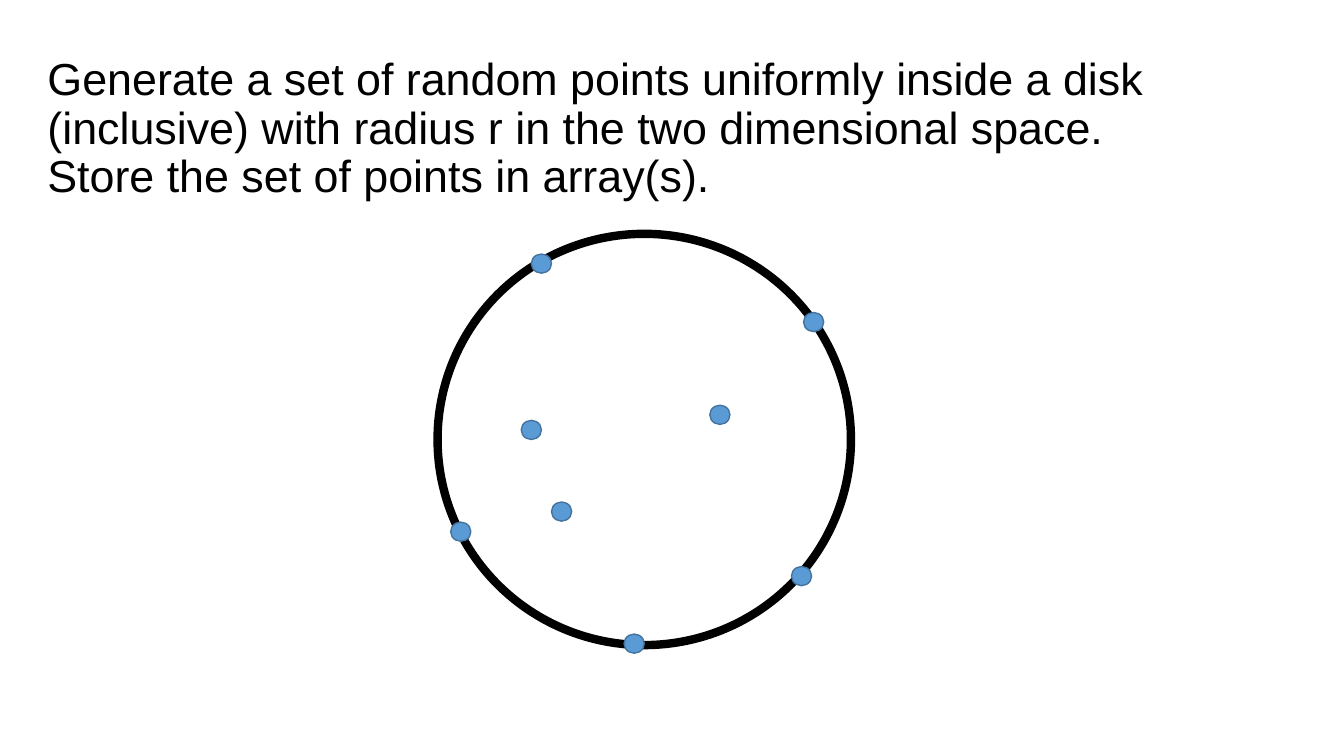
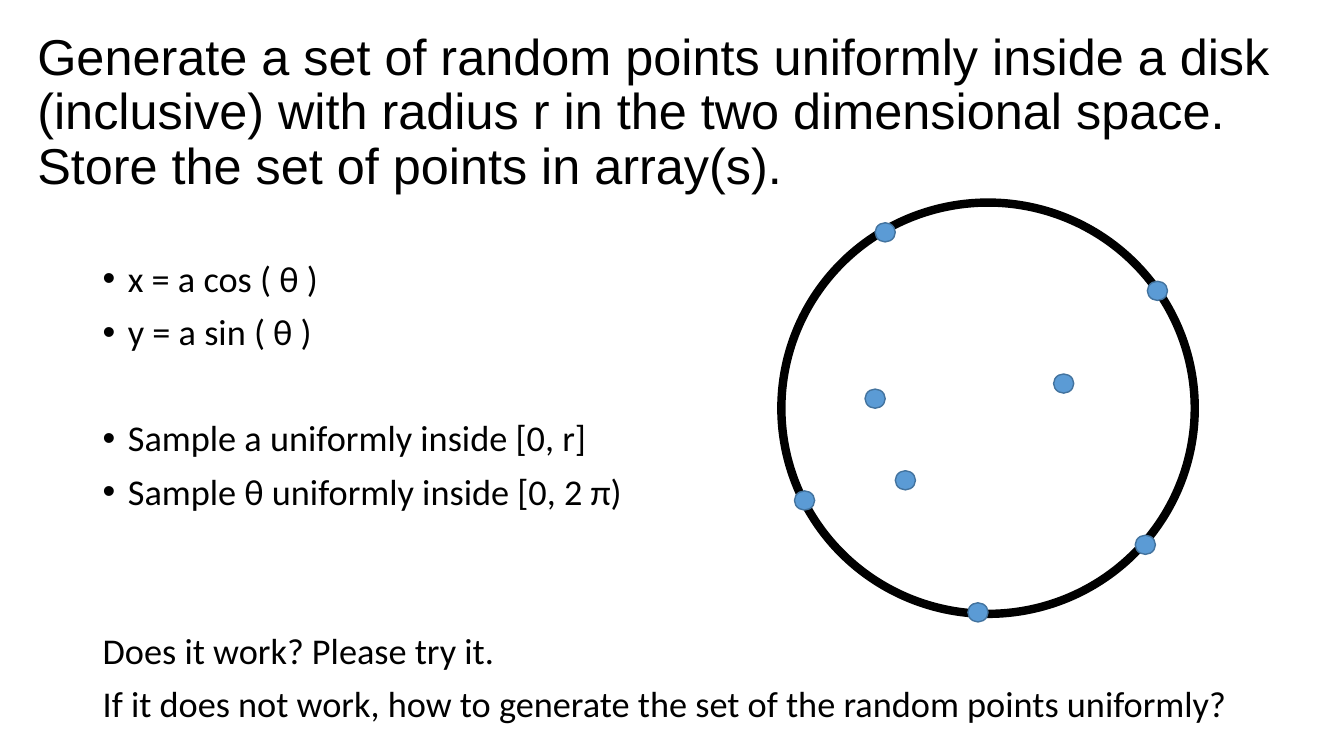
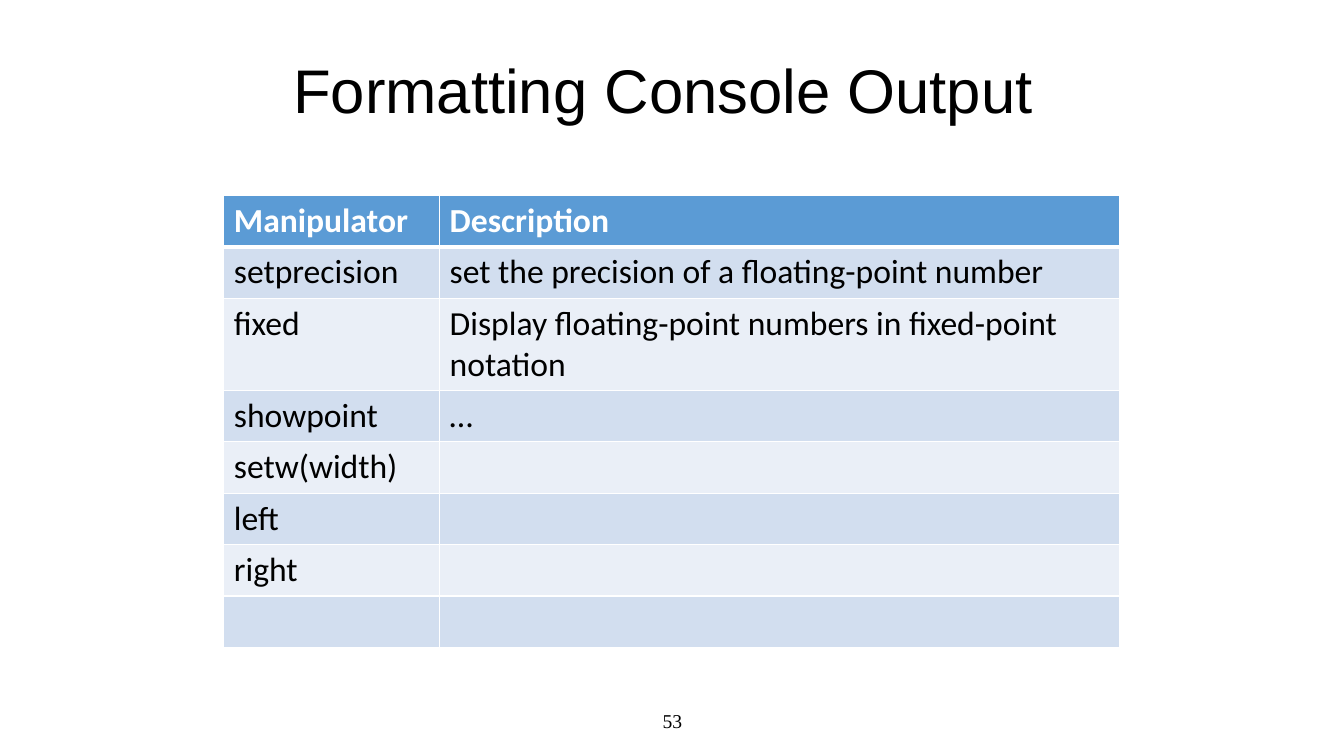
from lxml.etree import SubElement
from pptx import Presentation
from pptx.dml.color import RGBColor
from pptx.enum.shapes import MSO_SHAPE
from pptx.enum.text import MSO_ANCHOR, MSO_AUTO_SIZE, PP_ALIGN
from pptx.oxml.ns import qn
from pptx.util import Pt

OVAL = MSO_SHAPE.OVAL
MIDDLE, TOP = MSO_ANCHOR.MIDDLE, MSO_ANCHOR.TOP
LEFT, CENTER = PP_ALIGN.LEFT, PP_ALIGN.CENTER
FIXED = MSO_AUTO_SIZE.NONE

BLACK = RGBColor(0x00, 0x00, 0x00)
WHITE = RGBColor(0xFF, 0xFF, 0xFF)
BLUE = RGBColor(0x5B, 0x9B, 0xD5)
NAVY = RGBColor(0x43, 0x73, 0x9E)
BANDS = (RGBColor(0xD2, 0xDE, 0xEF), RGBColor(0xEA, 0xEF, 0xF7))

HEAD, BODY, FOOT = "Arial", "Calibri", "Times New Roman"
PX = 9144
WIDTH, HEIGHT = 1333, 750
INDENT = 25

DOTS = ((363, 78), (351, 330), (13, 286), (185, 397),
        (93, 20), (83, 185), (113, 266), (270, 170))
TASK = ("Generate a set of random points uniformly inside a disk "
        "(inclusive) with radius r in the two dimensional space. ")
STORE = "Store the set of points in array(s)."
NOTES = (
    ("x = a cos ( θ )", True, 0),
    ("y = a sin ( θ )", True, 10),
    ("Sample a uniformly inside [0, r]", True, 48),
    ("Sample θ uniformly inside [0, 2 π)", True, 10),
    ("Does it work? Please try it.", False, 86),
    ("If it does not work, how to generate the set of the random points uniformly?", False, 10),
)
ROWS = (
    ("Manipulator", "Description"),
    ("setprecision", "set the precision of a floating-point number"),
    ("fixed", "Display floating-point numbers in fixed-point notation"),
    ("showpoint", "…"),
    ("setw(width)", ""),
    ("left", ""),
    ("right", ""),
    ("", ""),
)


class Deck:
    def __init__(self):
        self.show = Presentation()
        self.show.slide_width = WIDTH * PX
        self.show.slide_height = HEIGHT * PX
        self.slide = None

    def emu(self, *sizes):
        return [size * PX for size in sizes]

    def style(self, para, size, face, color=BLACK, bold=False):
        font = para.font
        font.size, font.name, font.bold = Pt(size), face, bold
        font.color.rgb = color

    def frame(self, shape, anchor):
        frame = shape.text_frame
        frame.word_wrap = True
        frame.auto_size = FIXED
        frame.vertical_anchor = anchor
        return frame

    def title(self, text, box, size, align=LEFT):
        self.slide = self.show.slides.add_slide(self.show.slide_layouts[5])
        shape = self.slide.shapes.title
        shape.left, shape.top, shape.width, shape.height = self.emu(*box)
        para = self.frame(shape, MIDDLE).paragraphs[0]
        para.text = text
        para.alignment, para.line_spacing = align, 0.9
        self.style(para, size, HEAD)

    def box(self, box, anchor):
        return self.frame(self.slide.shapes.add_textbox(*self.emu(*box)), anchor)

    def bullet(self, para):
        props = para._p.get_or_add_pPr()
        props.set("marL", str(INDENT * PX))
        props.set("indent", str(-INDENT * PX))
        SubElement(props, qn("a:buFont")).set("typeface", HEAD)
        SubElement(props, qn("a:buChar")).set("char", "•")

    def notes(self, items, box):
        frame = self.box(box, TOP)
        for index, (text, mark, gap) in enumerate(items):
            para = frame.add_paragraph() if index else frame.paragraphs[0]
            para.text = text
            para.line_spacing = 0.9
            para.space_before = Pt(gap)
            if mark:
                self.bullet(para)
            self.style(para, 25.9, BODY)

    def number(self, text):
        para = self.box((442, 695, 450, 40), MIDDLE).paragraphs[0]
        para.text = text
        para.alignment = CENTER
        self.style(para, 14, FOOT)

    def oval(self, box, line, width, fill=None):
        shape = self.slide.shapes.add_shape(OVAL, *self.emu(*box))
        shape.shadow.inherit = False
        if fill is None:
            shape.fill.background()
        else:
            shape.fill.solid()
            shape.fill.fore_color.rgb = fill
        shape.line.color.rgb = line
        shape.line.width = Pt(width)

    def disk(self, left, top):
        self.oval((left, top, 410, 408), BLACK, 6)
        for x, y in DOTS:
            self.oval((left + x, top + y, 20, 19), NAVY, 1, BLUE)

    def edges(self, cell, row):
        props = cell._tc.get_or_add_tcPr()
        widths = {"L": 1, "R": 1, "T": 3 if row == 1 else 1, "B": 1 if row else 3}
        for side, width in widths.items():
            line = SubElement(props, qn("a:ln" + side), w=str(Pt(width)))
            fill = SubElement(line, qn("a:solidFill"))
            SubElement(fill, qn("a:srgbClr"), val=str(WHITE))

    def table(self, rows, left, top, widths, heights):
        box = self.emu(left, top, sum(widths), sum(heights))
        table = self.slide.shapes.add_table(len(rows), len(widths), *box).table
        for column, width in zip(table.columns, widths):
            column.width = width * PX
        for line, height in zip(table.rows, heights):
            line.height = height * PX
        for row, texts in enumerate(rows):
            for col, text in enumerate(texts):
                cell = table.cell(row, col)
                self.edges(cell, row)
                cell.fill.solid()
                cell.fill.fore_color.rgb = BANDS[(row - 1) % 2] if row else BLUE
                para = cell.text_frame.paragraphs[0]
                para.text = text
                self.style(para, 24, BODY, BLACK if row else WHITE, not row)


def main():
    deck = Deck()

    deck.title(TASK + "\n" + STORE, (37, 56, 1241, 145), 32)
    deck.disk(434, 232)

    deck.title(TASK + STORE, (27, 40, 1254, 145), 36)
    deck.notes(NOTES, (92, 254, 1150, 476))
    deck.disk(775, 201)

    deck.title("Formatting Console Output ", (0, 47, WIDTH, 92), 44, CENTER)
    deck.number("53")
    heights = [91 if row == 2 else 51 for row in range(len(ROWS))]
    deck.table(ROWS, 222, 194, (214, 674), heights)

    deck.show.save("out.pptx")


if __name__ == "__main__":
    main()
